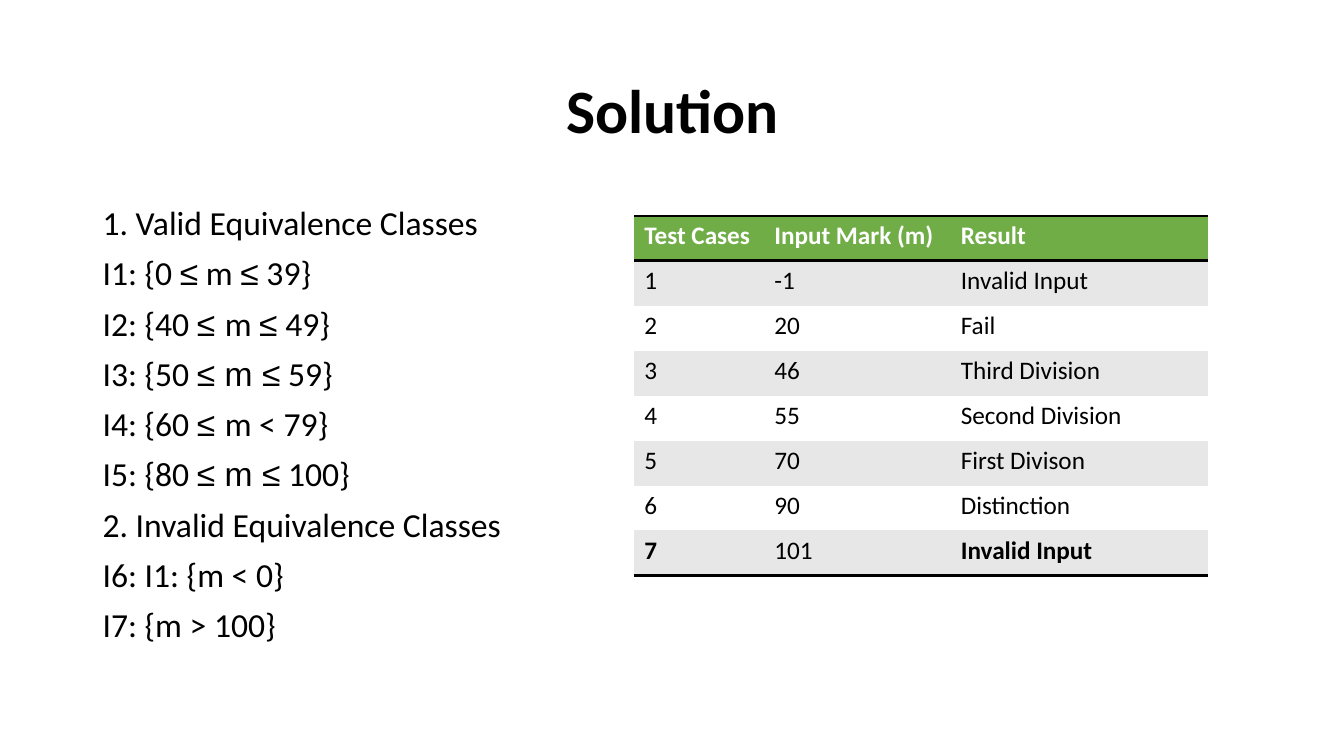
"""Build the Solution slide: equivalence classes beside a table of test cases."""
from dataclasses import dataclass

from lxml.etree import SubElement
from pptx import Presentation
from pptx.dml.color import RGBColor
from pptx.enum.text import MSO_ANCHOR, PP_ALIGN
from pptx.oxml.ns import qn
from pptx.util import Inches, Pt

TITLE = "Solution"
CLASSES = [
    ("1. Valid Equivalence Classes",),
    ("I1: {0 ", "≤", " m ", "≤", " 39}"),
    ("I2: {40 ", "≤ ", "m ", "≤", " 49}"),
    ("I3: {50 ", "≤ m ≤", " 59}"),
    ("I4: {60 ", "≤ ", "m < 79}"),
    ("I5: {80 ", "≤ m ≤", " 100}"),
    ("2. Invalid Equivalence Classes",),
    ("I6: I1: {m < 0}",),
    ("I7: {m > 100}",),
]
TEST_CASES = [
    ("Test Cases", "Input Mark (m)", "Result"),
    ("1", "-1", "Invalid Input"),
    ("2", "20", "Fail"),
    ("3", "46", "Third Division"),
    ("4", "55", "Second Division"),
    ("5", "70", "First Divison"),
    ("6", "90", "Distinction"),
    ("7", "101", "Invalid Input"),
]
BOLD_IN_LAST_ROW = {"7", "Invalid Input"}

SLIDE_SIZE = (13.33, 7.5)
TITLE_BOX = (0.92, 0.4, 11.5, 1.45)
CLASSES_BOX = (0.92, 2, 11.5, 4.76)
TABLE_CORNER = (6.29, 2.14)
COLUMN_WIDTHS = (1.29, 1.85, 2.55)
TABLE_HEIGHT = 3.57
NO_STYLE_ID = "{2D5ABB26-0587-4C30-8999-92F81FD0307C}"


@dataclass(frozen=True)
class Theme:
    font: str = "Calibri"
    symbol_font: str = "Arial"
    title_size: int = 44
    body_size: int = 24
    table_size: int = 18
    rule_width: int = 2
    ink: str = "000000"
    paper: str = "FFFFFF"
    header: str = "70AD47"
    band: str = "E7E7E7"


THEME = Theme()


def style(font, size, color=THEME.ink, bold=False):
    font.name = THEME.font
    font.size = Pt(size)
    font.bold = bold
    font.color.rgb = RGBColor.from_string(color)


def add_rule(cell, edge):
    rule = SubElement(cell._tc.get_or_add_tcPr(), qn(f"a:{edge}"), w=str(Pt(THEME.rule_width)))
    fill = SubElement(rule, qn("a:solidFill"))
    SubElement(fill, qn("a:srgbClr"), val=THEME.ink)


def fill_title(title):
    title.left, title.top, title.width, title.height = map(Inches, TITLE_BOX)
    title.text_frame.text = TITLE
    title.text_frame.vertical_anchor = MSO_ANCHOR.MIDDLE
    heading = title.text_frame.paragraphs[0]
    heading.alignment = PP_ALIGN.CENTER
    heading.line_spacing = 0.9
    style(heading.font, THEME.title_size, bold=True)


def add_classes(slide):
    frame = slide.shapes.add_textbox(*map(Inches, CLASSES_BOX)).text_frame
    frame.word_wrap = True
    for index, pieces in enumerate(CLASSES):
        line = frame.add_paragraph() if index else frame.paragraphs[0]
        line.line_spacing = 0.9
        line.space_before = Pt(10)
        style(line.font, THEME.body_size)
        for position, piece in enumerate(pieces):
            run = line.add_run()
            run.text = piece
            run.font.name = THEME.symbol_font if position % 2 else THEME.font


def add_test_cases(slide):
    last = len(TEST_CASES) - 1
    size = (sum(COLUMN_WIDTHS), TABLE_HEIGHT)
    frame = slide.shapes.add_table(
        len(TEST_CASES), len(COLUMN_WIDTHS), *map(Inches, TABLE_CORNER + size))
    table = frame.table
    table._tbl.tblPr.find(qn("a:tableStyleId")).text = NO_STYLE_ID
    for column, width in zip(table.columns, COLUMN_WIDTHS):
        column.width = Inches(width)
    for row, values in enumerate(TEST_CASES):
        is_header = row == 0
        background = THEME.header if is_header else THEME.band if row % 2 else THEME.paper
        for column, value in enumerate(values):
            cell = table.cell(row, column)
            if is_header:
                add_rule(cell, "lnT")
            if row in (0, last):
                add_rule(cell, "lnB")
            cell.fill.solid()
            cell.fill.fore_color.rgb = RGBColor.from_string(background)
            cell.text = value
            style(cell.text_frame.paragraphs[0].font, THEME.table_size,
                  THEME.paper if is_header else THEME.ink,
                  is_header or (row == last and value in BOLD_IN_LAST_ROW))


def main():
    deck = Presentation()
    deck.slide_width, deck.slide_height = map(Inches, SLIDE_SIZE)
    slide = deck.slides.add_slide(deck.slide_layouts[5])
    fill_title(slide.shapes.title)
    add_classes(slide)
    add_test_cases(slide)
    deck.save("out.pptx")


if __name__ == "__main__":
    main()
